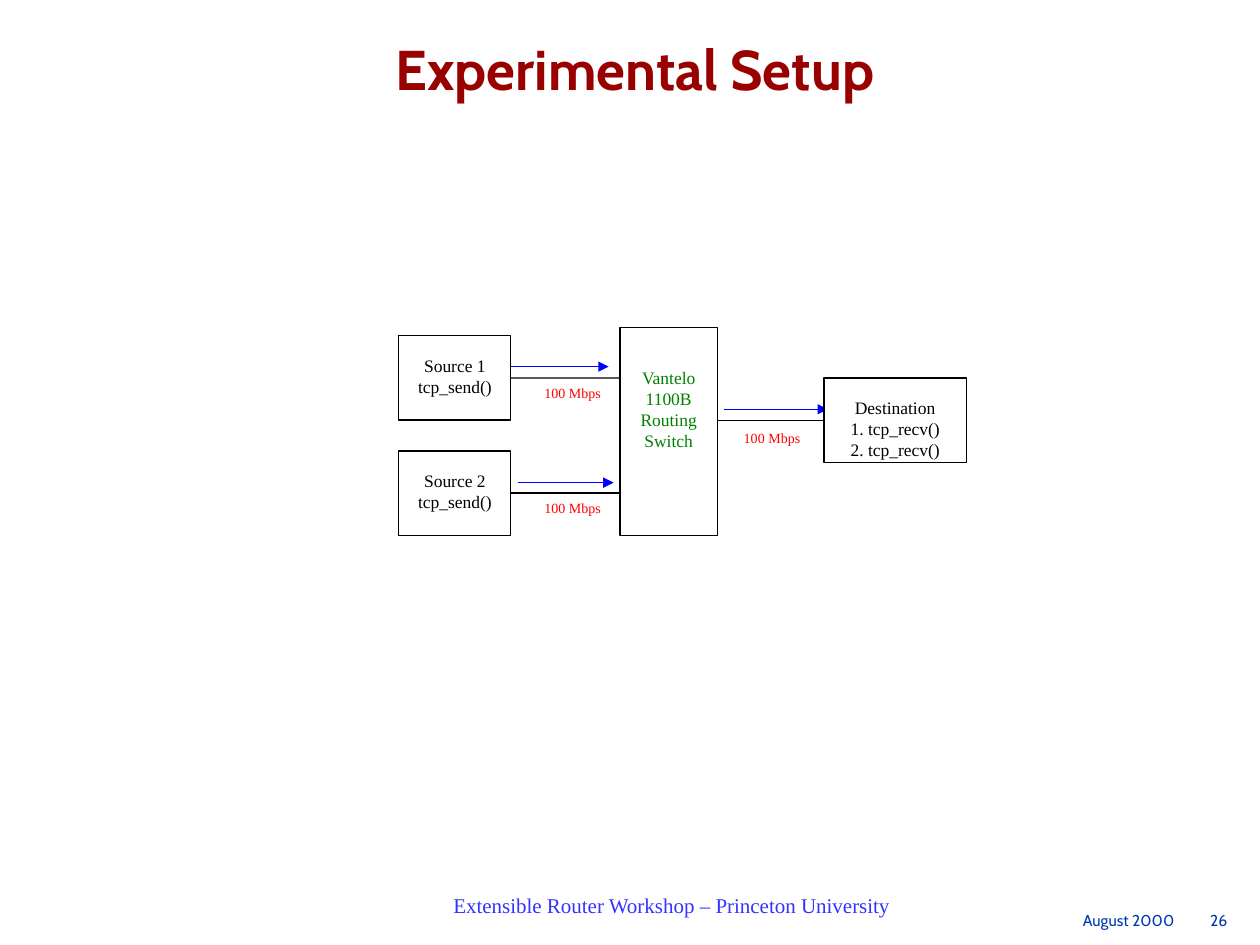
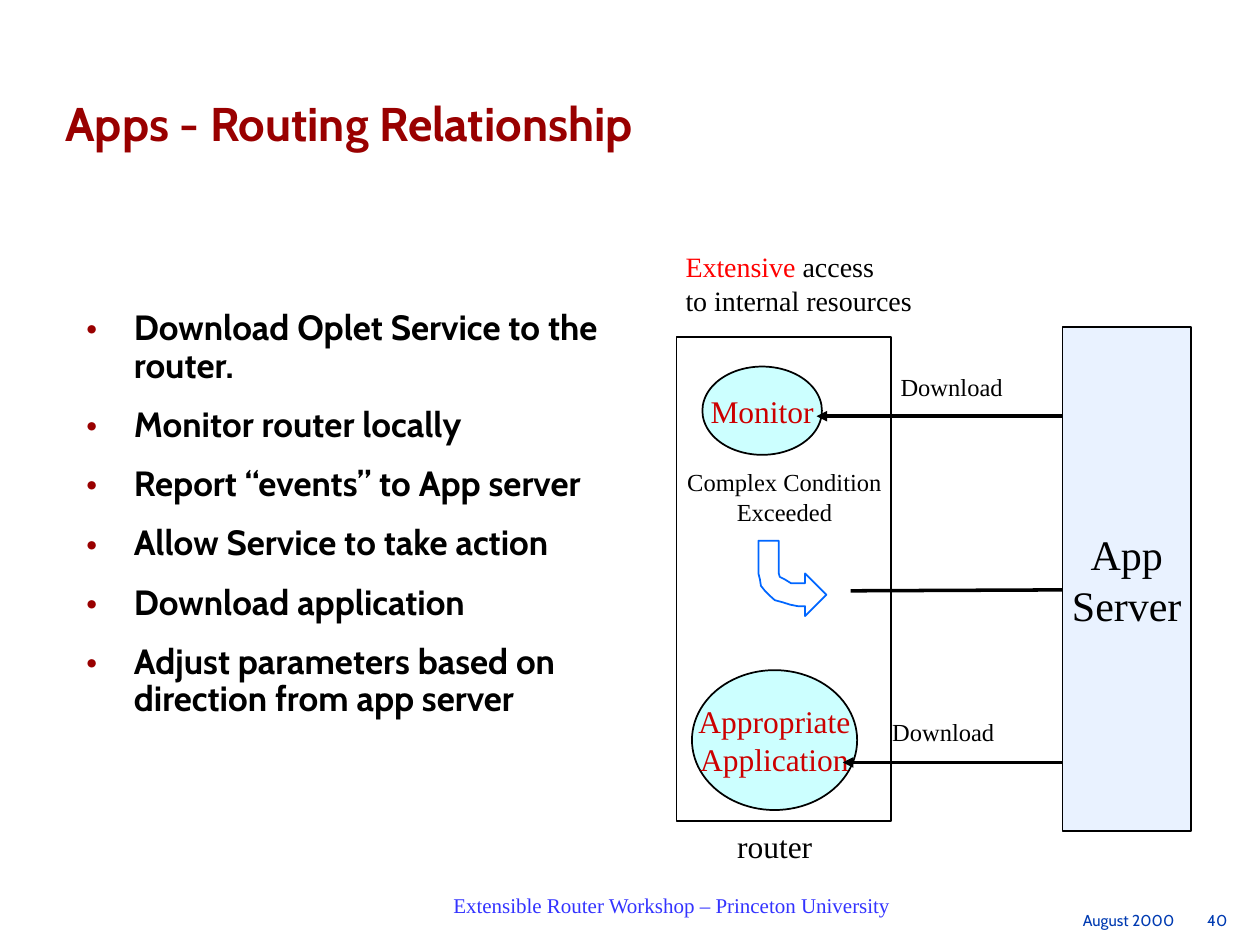
from lxml import etree
from pptx import Presentation
from pptx import util as u
from pptx.dml.color import RGBColor
from pptx.enum import shapes, text
from pptx.oxml.ns import qn

COLORS = {
    "title": "990000", "date": "003BB2", "workshop": "3333FF",
    "black": "000000", "white": "FFFFFF", "red": "FF0000",
    "flow": "0000FF", "switch": "008000", "oval": "CCFFFF",
    "oval_text": "CC0000", "server": "E9F2FF", "bent_arrow": "0066FF",
}
SERIF = "Times New Roman"
SANS = "Cabin"
LEFT, CENTER, RIGHT = text.PP_ALIGN.LEFT, text.PP_ALIGN.CENTER, text.PP_ALIGN.RIGHT
RECTANGLE, OVAL = shapes.MSO_SHAPE.RECTANGLE, shapes.MSO_SHAPE.OVAL
SIDE_LEFT, SIDE_RIGHT = 1, 3

BENT_ARROW = [
    (1666, 1199), (1623, 1242), (1623, 1222), (1608, 1222), (1593, 1219),
    (1577, 1214), (1562, 1210), (1552, 1201), (1542, 1191), (1534, 1181),
    (1532, 1168), (1529, 1156), (1529, 1090), (1570, 1090), (1570, 1156),
    (1572, 1163), (1582, 1168), (1595, 1176), (1608, 1176), (1623, 1176),
    (1623, 1156),
]


def color(name):
    return RGBColor.from_string(COLORS[name])


def cm(values):
    return [u.Cm(value) for value in values]


def style(para, size, ink, font=SERIF, bold=False, align=CENTER):
    para.alignment = align
    para.font.name = font
    para.font.size = u.Pt(size)
    para.font.bold = bold
    para.font.color.rgb = color(ink)


def write(box, lines, size, ink, inset=(0.25, 0.13), wrap=False,
          anchor=text.MSO_ANCHOR.TOP, **looks):
    frame = box.text_frame
    frame.word_wrap = wrap
    frame.vertical_anchor = anchor
    frame.margin_left = frame.margin_right = u.Cm(inset[0])
    frame.margin_top = u.Cm(inset[1])
    frame.margin_bottom = u.Cm(min(inset[1], 0.13))
    for index, line in enumerate(lines):
        para = frame.paragraphs[0] if index == 0 else frame.add_paragraph()
        para.add_run().text = line
        style(para, size, ink, **looks)
    return frame


def add_label(page, at, lines, size, ink="black", **looks):
    return write(page.shapes.add_textbox(*cm(at)), lines, size, ink, **looks)


def paint(shape, fill, line, width):
    shape.shadow.inherit = False
    if fill:
        shape.fill.solid()
        shape.fill.fore_color.rgb = color(fill)
    else:
        shape.fill.background()
    shape.line.color.rgb = color(line)
    shape.line.width = u.Pt(width)


def add_block(page, kind, at, fill, width):
    block = page.shapes.add_shape(kind, *cm(at))
    paint(block, fill, "black", width)
    return block


def add_line(page, start, end, ink="black", width=0.75, arrow=False):
    line = page.shapes.add_connector(shapes.MSO_CONNECTOR.STRAIGHT, *cm(start + end))
    line.line.color.rgb = color(ink)
    line.line.width = u.Pt(width)
    properties = line._element.spPr
    etree.SubElement(properties, qn("a:effectLst"))
    if arrow:
        etree.SubElement(line.line._get_or_add_ln(), qn("a:tailEnd"), type="triangle")
    return line


def add_bullet(para):
    properties = para._p.get_or_add_pPr()
    properties.set("marL", str(u.Cm(0.97)))
    properties.set("indent", str(u.Cm(-0.97)))
    tint = etree.SubElement(properties, qn("a:buClr"))
    etree.SubElement(tint, qn("a:srgbClr"), val=COLORS["title"])
    etree.SubElement(properties, qn("a:buSzPct"), val="110000")
    etree.SubElement(properties, qn("a:buFont"), typeface=SANS)
    etree.SubElement(properties, qn("a:buChar"), char="•")


def add_bullets(page, at, items):
    frame = page.shapes.add_textbox(*cm(at)).text_frame
    frame.word_wrap = True
    for index, item in enumerate(items):
        para = frame.paragraphs[0] if index == 0 else frame.add_paragraph()
        para.add_run().text = item
        add_bullet(para)
        para.line_spacing = 0.89
        if index:
            para.space_before = u.Pt(12.5)
        style(para, 20, "black", font=SANS, bold=True, align=LEFT)


def add_page(deck, number):
    page = deck.slides.add_slide(deck.slide_layouts[6])
    footer = dict(size=9, ink="date", inset=(0.23, 0), wrap=True, font=SANS, align=RIGHT)
    add_label(page, (19.9, 18.36, 4, 0.43), ["August 2000"], **footer)
    add_label(page, (23.9, 18.36, 1.07, 0.43), [str(number)], **footer)
    add_label(page, (7.83, 18, 11.43, 0.51),
              ["Extensible Router Workshop – Princeton University"],
              12, "workshop", inset=(0.23, 0), wrap=True)
    return page


def add_title(page, at, title, size, **looks):
    frame = add_label(page, at, [title], size, "title", wrap=True,
                      font=SANS, bold=True, **looks)
    frame.paragraphs[0].line_spacing = 0.9


def add_host(page, at, lines, ink="black", top=0.38):
    host = add_block(page, RECTANGLE, at, "white", 0.75)
    write(host, lines, 10, ink, inset=(0.25, top), wrap=True)
    return host


def add_rate(page, left, top):
    add_label(page, (left, top, 2.01, 0.58), ["100 Mbps"], 8, "red")


def add_oval(page, at, lines):
    oval = add_block(page, OVAL, at, "oval", 1)
    write(oval, lines, 18, "oval_text", anchor=text.MSO_ANCHOR.MIDDLE)


def add_bent_arrow(page):
    builder = page.shapes.build_freeform(*BENT_ARROW[0], scale=u.Cm(0.01))
    builder.add_line_segments(BENT_ARROW[1:], close=True)
    paint(builder.convert_to_shape(), "white", "bent_arrow", 1)


def build_setup(deck):
    page = add_page(deck, 26)
    add_title(page, (1.47, 0.84, 22.66, 1.22), "Experimental Setup", 32, inset=(0.13, 0))

    for start, end in [((10.31, 7.39), (12.27, 7.39)),
                       ((10.44, 9.73), (12.37, 9.73)),
                       ((14.6, 8.25), (16.69, 8.25))]:
        add_line(page, start, end, "flow", arrow=True)

    add_host(page, (12.5, 6.6, 1.96, 4.19),
             ["Vantelo", "1100B", "Routing", "Switch"], "switch", top=0.79)
    for number in (1, 2):
        top = 6.77 + 2.32 * (number - 1)
        source = add_host(page, (8.04, top, 2.26, 1.7), [f"Source {number}", "tcp_send()"])
        wire = add_line(page, (10.3, top + 0.85), (12.5, top + 0.85))
        wire.begin_connect(source, SIDE_RIGHT)
        add_rate(page, 10.54, top + 0.86)

    destination = add_host(page, (16.61, 7.62, 2.87, 1.7),
                           ["Destination", "1. tcp_recv()", "2. tcp_recv()"])
    wire = add_line(page, (16.61, 8.47), (14.46, 8.47))
    wire.begin_connect(destination, SIDE_LEFT)
    add_rate(page, 14.56, 8.53)


def build_relationship(deck):
    page = add_page(deck, 40)
    add_title(page, (1.07, 1.9, 21.59, 2.97), "Apps - Routing Relationship", 27, align=LEFT)
    add_bullets(page, (1.48, 6.14, 11.58, 9.96), [
        "Download Oplet Service to the router.",
        "Monitor router locally",
        "Report “events” to App server",
        "Allow Service to take action",
        "Download application",
        "Adjust parameters based on direction from app server",
    ])

    add_block(page, RECTANGLE, (13.64, 6.8, 4.32, 9.75), None, 1)
    add_oval(page, (14.16, 7.39, 2.41, 1.78), ["Monitor"])
    add_oval(page, (13.95, 13.51, 3.33, 2.82), ["Appropriate", "Application"])
    for start, end in [((21.56, 8.39), (16.46, 8.39)),
                       ((22.07, 15.37), (16.99, 15.37)),
                       ((17.15, 11.91), (21.67, 11.89))]:
        add_line(page, start, end, width=2, arrow=True)
    for left, top in [(17.9, 7.36), (17.73, 14.33)]:
        add_label(page, (left, top, 2.57, 0.84), ["Download"], 14)
    add_label(page, (13.54, 9.29, 4.55, 1.42), ["Complex Condition", "Exceeded"], 14)

    server = add_block(page, RECTANGLE, (21.42, 6.6, 2.59, 10.16), "server", 1)
    write(server, ["App", "Server"], 24, "black", anchor=text.MSO_ANCHOR.MIDDLE)
    add_bent_arrow(page)
    add_label(page, (14.61, 16.55, 3, 1.02), ["router"], 18, wrap=True, align=LEFT)

    access = add_label(page, (13.57, 4.9, 6.5, 1.63),
                       ["Extensive", "to internal resources"], 16, wrap=True, align=LEFT)
    first = access.paragraphs[0]
    first.runs[0].font.color.rgb = color("red")
    span = first.add_run()
    span.text = " access"
    span.font.color.rgb = color("black")


def main():
    deck = Presentation()
    deck.slide_width, deck.slide_height = cm((25.4, 19.05))
    build_setup(deck)
    build_relationship(deck)
    deck.save("out.pptx")


if __name__ == "__main__":
    main()
